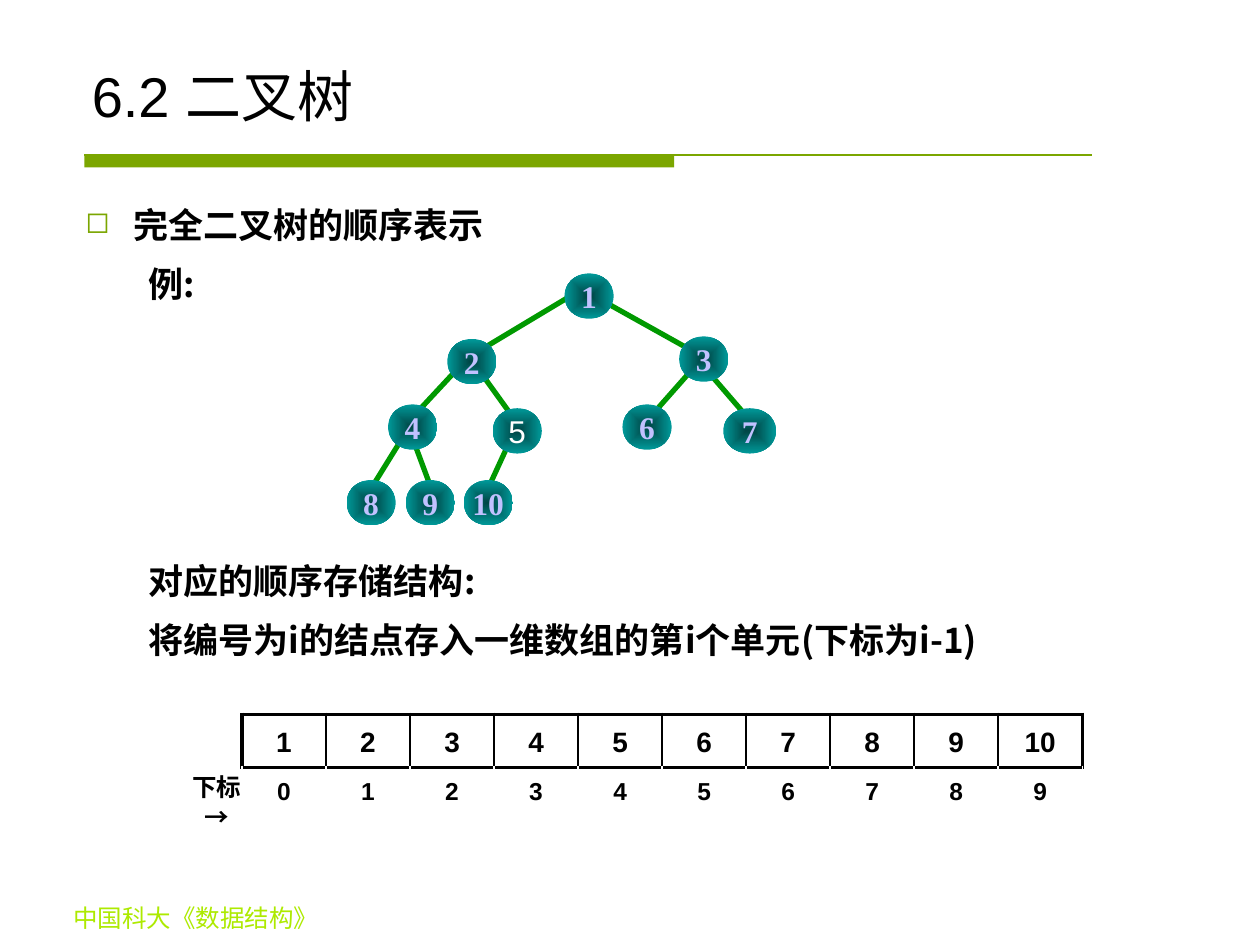
import pptx
import pptx.util
import pptx.oxml
import pptx.oxml.ns
from pptx.dml.color import RGBColor
from pptx.enum.shapes import MSO_CONNECTOR, MSO_SHAPE
from pptx.enum.text import MSO_ANCHOR, PP_ALIGN
from pptx.util import Inches, Pt

BLACK = RGBColor(0x00, 0x00, 0x00)
WHITE = RGBColor(0xFF, 0xFF, 0xFF)
OLIVE = RGBColor(0x7B, 0xA6, 0x00)
LIME = RGBColor(0xAD, 0xEA, 0x00)
EDGE_GREEN = RGBColor(0x00, 0x99, 0x00)
NODE_CORE = RGBColor(0x00, 0x46, 0x46)
NODE_RIM = RGBColor(0x00, 0x99, 0x99)
LAVENDER = RGBColor(0xC1, 0xC1, 0xFF)
CJK = "Noto Sans CJK SC"
LATIN = "Arial"
SERIF = "Times New Roman"

TITLE = [("6.2 ", LATIN), ("二叉树", CJK)]
FOOTER = "中国科大《数据结构》"
BODY = [
    ("完全二叉树的顺序表示", 0.38, -0.38, 0, "◻"),
    ("例:", 0.81, -0.31, 5, None),
    ("对应的顺序存储结构:", 0.81, -0.31, 141, None),
    ("将编号为i的结点存入一维数组的第i个单元(下标为i-1)", 0.81, -0.31, 5, None),
]
NODE_WIDTH, NODE_HEIGHT = 0.39, 0.36
NODES = [
    ("8", 2.75, 3.81), ("9", 3.22, 3.81), ("10", 3.68, 3.81),
    ("4", 3.08, 3.21), ("5", 3.91, 3.24), ("6", 4.94, 3.21), ("7", 5.74, 3.24),
    ("2", 3.55, 2.69), ("3", 5.39, 2.67), ("1", 4.48, 2.17),
]
WIDE_NODES = {"7": 0.42}
EDGES = [
    (4.77, 2.38, 5.54, 2.81), (4.56, 2.33, 3.76, 2.81),
    (5.62, 2.95, 5.93, 3.31), (5.54, 2.88, 5.16, 3.31),
    (3.76, 2.88, 4.07, 3.31), (3.61, 2.95, 3.21, 3.38),
    (4.07, 3.45, 3.84, 3.95), (3.29, 3.52, 3.45, 3.95),
    (3.21, 3.45, 2.9, 3.95),
]
CELL_COUNT = 10
ARRAY_ROWS = [(range(1, CELL_COUNT + 1), 0.42, 16), (range(CELL_COUNT), 0.37, 14)]
ARRAY_LEFT, ARRAY_TOP, ARRAY_WIDTH = 1.92, 5.67, 6.67
INDEX_LABEL = "下标→"


def add_child(parent, xml):
    element = pptx.oxml.parse_xml(
        xml.replace(" ", f" {pptx.oxml.ns.nsdecls('a')} ", 1))
    parent.append(element)
    return element


def style(font, size, name, color, bold=False):
    font.size, font.name, font.bold = Pt(size), name, bold
    font.color.rgb = color
    latin = font._element.find(pptx.oxml.ns.qn("a:latin")) if hasattr(font, "_element") else font._rPr.find(pptx.oxml.ns.qn("a:latin"))
    latin.addnext(pptx.oxml.parse_xml(
        f'<a:ea {pptx.oxml.ns.nsdecls("a")} typeface="{CJK}"/>'))


def add_text_box(slide, left, top, width, height, wrap=True):
    box = slide.shapes.add_textbox(
        Inches(left), Inches(top), Inches(width), Inches(height))
    box.text_frame.word_wrap = wrap
    return box.text_frame


def add_label(slide, text, box, size, name, color, bold=False, wrap=True):
    paragraph = add_text_box(slide, *box, wrap=wrap).paragraphs[0]
    paragraph.text = text
    paragraph.alignment = PP_ALIGN.CENTER
    style(paragraph.font, size, name, color, bold)


def add_line(slide, ends, color, width):
    line = slide.shapes.add_connector(
        MSO_CONNECTOR.STRAIGHT, *(Inches(value) for value in ends))
    line.line.color.rgb = color
    line.line.width = Pt(width)
    add_child(line._element.spPr, "<a:effectLst />")


def add_title(slide):
    frame = add_text_box(slide, 0.63, 0.33, 8.75, 0.74)
    frame.vertical_anchor = MSO_ANCHOR.BOTTOM
    for text, name in TITLE:
        run = frame.paragraphs[0].add_run()
        run.text = text
        style(run.font, 32, name, BLACK)


def add_title_rule(slide):
    bar = slide.shapes.add_shape(
        MSO_SHAPE.RECTANGLE, Inches(0.67), Inches(1.23), Inches(4.68), Inches(0.1))
    bar.shadow.inherit = False
    bar.fill.solid()
    bar.fill.fore_color.rgb = OLIVE
    bar.line.fill.background()
    add_line(slide, (0.67, 1.23, 8.67, 1.23), OLIVE, 0.75)


def add_body(slide):
    frame = add_text_box(slide, 0.58, 1.5, 8.71, 5.43)
    for index, (text, margin, indent, space, bullet) in enumerate(BODY):
        paragraph = frame.add_paragraph() if index else frame.paragraphs[0]
        paragraph.text = text
        paragraph.line_spacing = 1.2
        paragraph.space_before = Pt(space)
        properties = paragraph._p.get_or_add_pPr()
        properties.set("marL", str(Inches(margin)))
        properties.set("indent", str(Inches(indent)))
        if bullet:
            add_child(properties, f'<a:buClr ><a:srgbClr val="{OLIVE}"/></a:buClr>')
            add_child(properties, '<a:buSzPct val="85000"/>')
            add_child(properties, f'<a:buChar char="{bullet}"/>')
        style(paragraph.font, 20, CJK, BLACK, True)


def add_node(slide, text, left, top):
    node = slide.shapes.add_shape(
        MSO_SHAPE.OVAL, Inches(left), Inches(top),
        Inches(WIDE_NODES.get(text, NODE_WIDTH)), Inches(NODE_HEIGHT))
    node.shadow.inherit = False
    node.line.fill.background()
    node.fill.gradient()
    for stop, color in zip(node.fill.gradient_stops, (NODE_CORE, NODE_RIM)):
        stop.color.rgb = color
    gradient = node._element.spPr.find(pptx.oxml.ns.qn("a:gradFill"))
    gradient.remove(gradient.find(pptx.oxml.ns.qn("a:lin")))
    add_child(gradient, '<a:path path="rect"><a:fillToRect l="50000" t="50000" '
                        'r="50000" b="50000"/></a:path>')
    frame = node.text_frame
    frame.word_wrap = False
    frame.vertical_anchor = MSO_ANCHOR.MIDDLE
    paragraph = frame.paragraphs[0]
    paragraph.text = text
    paragraph.alignment = PP_ALIGN.CENTER
    if text == "5":
        style(paragraph.font, 18, LATIN, WHITE)
    else:
        style(paragraph.font, 18, SERIF, LAVENDER, True)


def set_borders(cell, widths):
    properties = cell._tc.get_or_add_tcPr()
    for position, (side, width) in enumerate(widths.items()):
        border = add_child(
            properties, f'<a:ln{side} w="{Pt(width)}"><a:solidFill>'
                        f'<a:srgbClr val="{BLACK}"/></a:solidFill></a:ln{side}>')
        properties.insert(position, border)


def add_array(slide):
    table = slide.shapes.add_table(
        len(ARRAY_ROWS), CELL_COUNT, Inches(ARRAY_LEFT), Inches(ARRAY_TOP),
        Inches(ARRAY_WIDTH), Inches(sum(row[1] for row in ARRAY_ROWS))).table
    table.first_row = table.horz_banding = False
    for row, (values, height, size) in enumerate(ARRAY_ROWS):
        table.rows[row].height = Inches(height)
        for column, value in enumerate(values):
            cell = table.cell(row, column)
            cell.fill.background()
            cell.vertical_anchor = MSO_ANCHOR.MIDDLE
            paragraph = cell.text_frame.paragraphs[0]
            paragraph.text = str(value)
            paragraph.alignment = PP_ALIGN.CENTER
            paragraph.line_spacing = 1.1
            style(paragraph.font, size, LATIN, BLACK, True)
            if row == 0:
                set_borders(cell, {
                    "L": 2.25 if column == 0 else 1,
                    "R": 2.25 if column == CELL_COUNT - 1 else 1,
                    "T": 2.25, "B": 2.25})
            else:
                set_borders(cell, {"T": 2.25})


def main():
    presentation = pptx.Presentation()
    presentation.slide_width, presentation.slide_height = Inches(10), Inches(7.5)
    slide = presentation.slides.add_slide(presentation.slide_layouts[6])
    add_title_rule(slide)
    add_label(slide, FOOTER, (0, 7.12, 3.11, 0.34), 14, SERIF, LIME)
    add_title(slide)
    add_body(slide)
    for edge in EDGES:
        add_line(slide, edge, EDGE_GREEN, 3)
    for node in NODES:
        add_node(slide, *node)
    add_array(slide)
    add_label(slide, INDEX_LABEL, (1.33, 6.08, 0.78, 0.34), 14, LATIN, BLACK, True, False)
    presentation.save("out.pptx")


if __name__ == "__main__":
    main()
